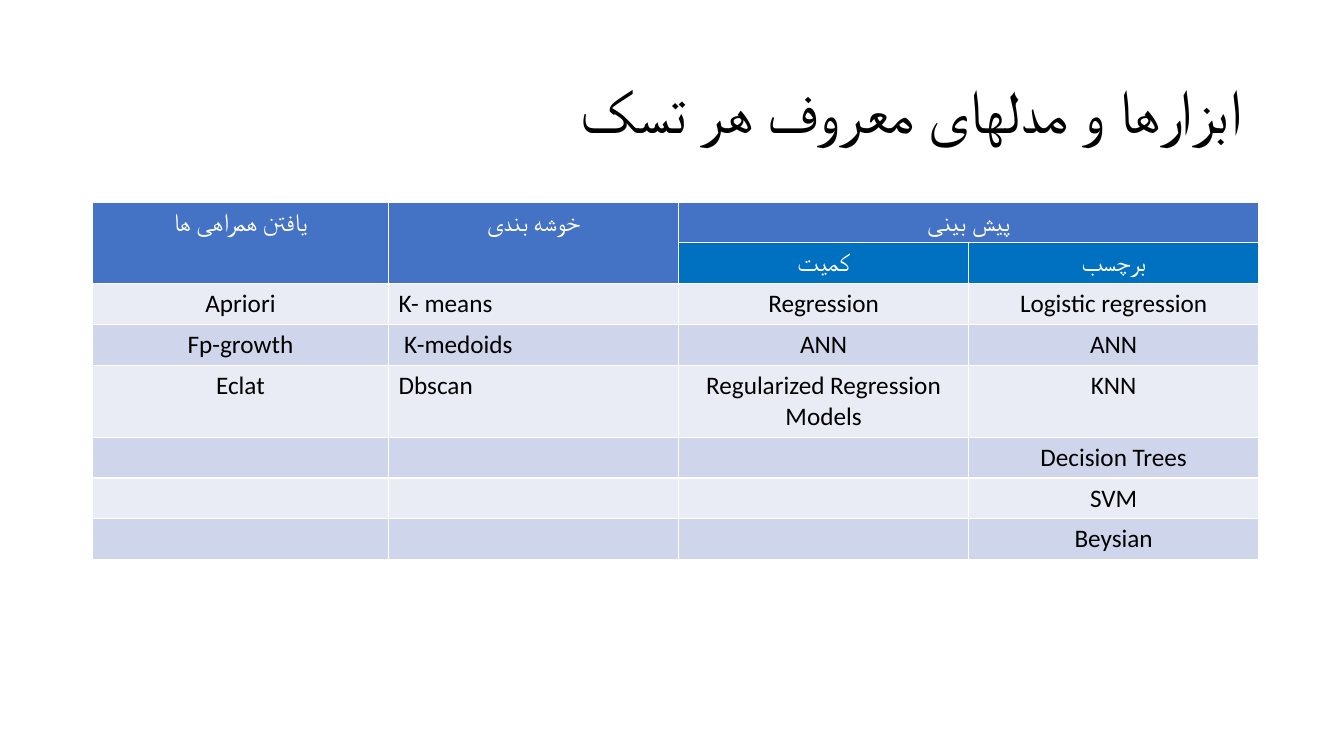
from lxml import etree
from pptx import Presentation
from pptx.dml.color import RGBColor
from pptx.enum import text
from pptx.oxml import ns
from pptx.util import Cm, Pt

WHITE = RGBColor(0xFF, 0xFF, 0xFF)
BLACK = RGBColor(0x00, 0x00, 0x00)
TASK_BLUE = RGBColor(0x44, 0x72, 0xC4)
SUBTASK_BLUE = RGBColor(0x00, 0x70, 0xC0)
BANDS = [RGBColor(0xE9, 0xEB, 0xF5), RGBColor(0xCF, 0xD5, 0xEA)]

FONT = "Calibri"
CENTER = text.PP_ALIGN.CENTER
LEFT = text.PP_ALIGN.LEFT
RIGHT = text.PP_ALIGN.RIGHT

TASKS = ["یافتن همراهی ها", "خوشه بندی", "پیش بینی", ""]
SUBTASKS = ["", "", "کمیت", "برچسب"]
MODELS = [
    ["Apriori", "K- means", "Regression", "Logistic regression"],
    ["Fp-growth", " K-medoids", "ANN", "ANN"],
    ["Eclat", "Dbscan", "Regularized Regression Models", "KNN"],
    ["", "", "", "Decision Trees"],
    ["", "", "", "SVM"],
    ["", "", "", "Beysian"],
]
CLUSTERING = 1
COLUMN_WIDTHS = [Cm(7.46), Cm(7.31), Cm(7.31), Cm(7.31)]
ROW_HEIGHT = Cm(1.03)


def write(frame, words, size, color, align, rtl=True):
    paragraph = frame.paragraphs[0]
    paragraph.text = words
    paragraph.alignment = align
    if rtl:
        paragraph._p.get_or_add_pPr().set("rtl", "1")
    font = paragraph.font
    font.name, font.size, font.bold = FONT, Pt(size), False
    font.color.rgb = color
    complex_script = etree.SubElement(font._element, ns.qn("a:cs"))
    complex_script.set("typeface", FONT)
    return paragraph


def add_title(slide, words):
    title = slide.shapes.title
    title.left, title.top = Cm(2.33), Cm(1.01)
    title.width, title.height = Cm(29.21), Cm(3.68)
    title.text_frame.vertical_anchor = text.MSO_ANCHOR.MIDDLE
    write(title.text_frame, words, 44, BLACK, RIGHT).line_spacing = 0.9


def fill_row(table, row, entries, fill, color, left_column=None):
    for column, words in enumerate(entries):
        cell = table.cell(row, column)
        cell.fill.solid()
        cell.fill.fore_color.rgb = fill
        if words:
            at_left = column == left_column
            write(cell.text_frame, words, 18, color,
                  LEFT if at_left else CENTER, rtl=not at_left)


def add_models_table(slide):
    row_count = len(MODELS) + 2
    table = slide.shapes.add_table(
        row_count, len(TASKS), Cm(2.33), Cm(5.09),
        sum(COLUMN_WIDTHS), ROW_HEIGHT * row_count).table
    for column, width in zip(table.columns, COLUMN_WIDTHS):
        column.width = width
    for row in table.rows:
        row.height = ROW_HEIGHT

    fill_row(table, 0, TASKS, TASK_BLUE, WHITE)
    fill_row(table, 1, SUBTASKS, SUBTASK_BLUE, WHITE)
    for index, models in enumerate(MODELS):
        fill_row(table, index + 2, models, BANDS[index % 2], BLACK, CLUSTERING)

    for column in (0, 1):
        table.cell(0, column).merge(table.cell(1, column))
    table.cell(0, 2).merge(table.cell(0, 3))


def main():
    deck = Presentation()
    deck.slide_width, deck.slide_height = Cm(33.87), Cm(19.05)
    slide = deck.slides.add_slide(deck.slide_layouts[5])
    add_title(slide, "ابزارها و مدلهای معروف هر تسک")
    add_models_table(slide)
    deck.save("out.pptx")


if __name__ == "__main__":
    main()
